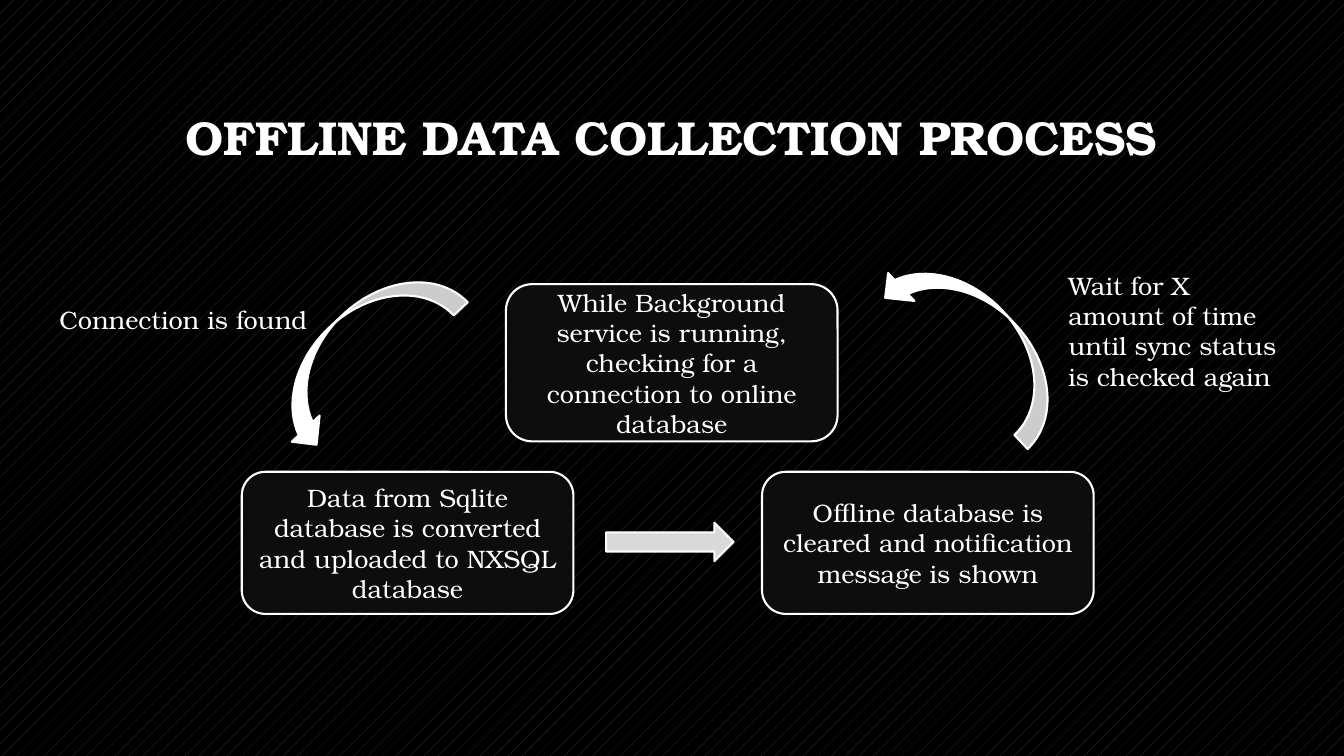
from pptx import Presentation
from pptx.dml.color import RGBColor
from pptx.enum.dml import MSO_PATTERN as Pat
from pptx.enum.shapes import MSO_SHAPE as Kind
from pptx.enum.text import MSO_ANCHOR as Anchor, MSO_AUTO_SIZE as Auto, PP_ALIGN as Align
from pptx.util import Pt

FONT = "TeX Gyre Bonum"
HUES = {"back": "000000", "dots": "404040", "box": "0D0D0D",
        "white": "FFFFFF", "gray": "D9D9D9"}
BOX_W = 236.9
ROW_TOP, ROW_H = 337, 101.5


def hue(name):
    return RGBColor.from_string(HUES[name])


def write(frame, text, align, size=18, bold=False):
    frame.word_wrap = True
    par = frame.paragraphs[0]
    par.alignment = align
    run = par.add_run()
    run.text = text
    font = run.font
    font.name, font.size, font.bold = FONT, Pt(size), bold
    font.color.rgb = hue("white")
    return par


def add_back(slide):
    fill = slide.background.fill
    fill.patterned()
    fill.pattern = Pat.PERCENT_5
    fill.fore_color.rgb = hue("dots")
    fill.back_color.rgb = hue("back")


def add_title(slide, text):
    title = slide.shapes.title
    title.left, title.top = Pt(72), Pt(48.2)
    title.width, title.height = Pt(815), Pt(104.4)
    frame = title.text_frame
    frame.auto_size = Auto.NONE
    frame.vertical_anchor = Anchor.MIDDLE
    write(frame, text, Align.CENTER, 34, True).line_spacing = 0.9


def add_form(slide, kind, place, fill, turn=0):
    """Add a preset shape with a white outline, turned clockwise by degrees."""
    form = slide.shapes.add_shape(kind, *map(Pt, place))
    form.shadow.inherit = False
    form.fill.solid()
    form.fill.fore_color.rgb = hue(fill)
    form.line.color.rgb = hue("white")
    form.line.width = Pt(1.5)
    form.rotation = turn
    return form


def add_step(slide, left, top, high, text):
    step = add_form(slide, Kind.FLOWCHART_ALTERNATE_PROCESS,
                    (left, top, BOX_W, high), "box")
    step.text_frame.vertical_anchor = Anchor.MIDDLE
    write(step.text_frame, text, Align.CENTER)


def add_curve(slide, left, top, turn):
    add_form(slide, Kind.CURVED_RIGHT_ARROW, (left, top, 54.7, 162), "white", turn)


def add_note(slide, place, text):
    note = slide.shapes.add_textbox(*map(Pt, place))
    write(note.text_frame, text, Align.LEFT)
    note.text_frame.auto_size = Auto.SHAPE_TO_FIT_TEXT


def main():
    deck = Presentation()
    deck.slide_width, deck.slide_height = Pt(960), Pt(540)
    slide = deck.slides.add_slide(deck.slide_layouts[5])
    add_back(slide)
    add_title(slide, "OFFLINE DATA COLLECTION PROCESS")

    add_step(slide, 172.7, ROW_TOP, ROW_H,
             "Data from Sqlite database is converted and uploaded to NXSQL database")
    add_step(slide, 544.3, ROW_TOP, ROW_H,
             "Offline database is cleared and notification message is shown")
    add_curve(slide, 229, 170.6, 46.7)
    add_curve(slide, 671, 162, 136.7)
    add_form(slide, Kind.RIGHT_ARROW, (433, 373.4, 91, 27.4), "gray")
    add_step(slide, 361.4, 203, 112.3,
             "While Background service is running, checking for a connection to online database")

    add_note(slide, (35.3, 213.8, 216, 29), "Connection is found")
    add_note(slide, (756, 189.4, 168.5, 94.3),
             "Wait for X amount of time until sync status is checked again")
    deck.save("out.pptx")


if __name__ == "__main__":
    main()
